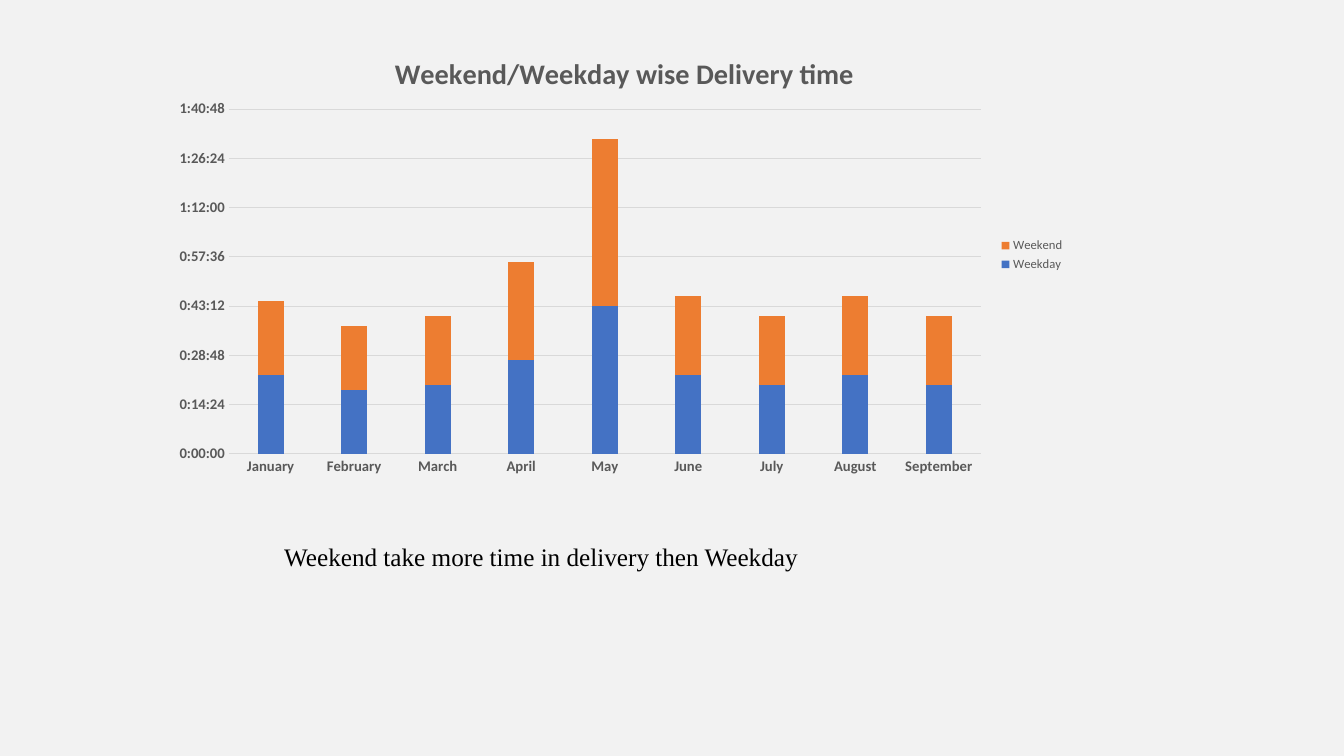
from dataclasses import dataclass

from lxml.etree import SubElement
from pptx import Presentation
from pptx.chart.data import CategoryChartData
from pptx.dml.color import RGBColor
from pptx.enum.chart import XL_CHART_TYPE as ChartType
from pptx.enum.chart import XL_LEGEND_POSITION as LegendPos
from pptx.enum.chart import XL_TICK_MARK as Tick
from pptx.enum.text import MSO_AUTO_SIZE as AutoSize
from pptx.oxml.ns import qn
from pptx.util import Inches, Pt


@dataclass(frozen=True)
class Theme:
    background: str = "F2F2F2"
    ink: str = "000000"
    muted: str = "595959"
    grid: str = "D9D9D9"
    chart_font: str = "Calibri"
    caption_font: str = "Times New Roman"
    title_size: float = 20.2
    caption_size: float = 18
    axis_size: float = 10.5
    chart_size: float = 10
    legend_size: float = 9
    rule_width: float = 0.75


@dataclass(frozen=True)
class DaySeries:
    name: str
    color: str
    values: tuple[float, ...]


THEME = Theme()
MONTHS = ("January", "February", "March", "April", "May",
          "June", "July", "August", "September")
# Delivery times as fractions of a day
SERIES = (
    DaySeries("Weekday", "4472C4",
              (0.016, 0.013, 0.014, 0.019, 0.03, 0.016, 0.014, 0.016, 0.014)),
    DaySeries("Weekend", "ED7D31",
              (0.015, 0.013, 0.014, 0.02, 0.034, 0.016, 0.014, 0.016, 0.014)),
)
TIME_FORMAT = "h:mm:ss;@"


def rgb(color: str) -> RGBColor:
    return RGBColor.from_string(color)


def style_font(font, size: float, color: str, name: str, bold: bool = False) -> None:
    font.size, font.name, font.bold = Pt(size), name, bold
    font.color.rgb = rgb(color)


def style_line(line) -> None:
    line.color.rgb = rgb(THEME.grid)
    line.width = Pt(THEME.rule_width)


def style_axis(axis) -> None:
    axis.major_tick_mark = axis.minor_tick_mark = Tick.NONE
    style_font(axis.tick_labels.font, THEME.axis_size, THEME.muted,
               THEME.chart_font, bold=True)


def place(layout, **settings) -> None:
    """Fill a c:layout element with a manual layout, in fractions of the chart."""
    manual = SubElement(layout, qn("c:manualLayout"))
    for tag, value in settings.items():
        SubElement(manual, qn(f"c:{tag}")).set("val", str(value))


def add_layout(parent, index: int):
    """Return the layout of a chart part, inserted at index if missing."""
    layout = parent.find(qn("c:layout"))
    if layout is None:
        layout = SubElement(parent, qn("c:layout"))
        parent.insert(index, layout)
    return layout


def add_delivery_chart(s) -> None:
    data = CategoryChartData(number_format=TIME_FORMAT)
    data.categories = MONTHS
    for series in SERIES:
        data.add_series(series.name, series.values)
    chart = s.shapes.add_chart(ChartType.COLUMN_STACKED, Inches(1.6), Inches(0.25),
                               Inches(9.06), Inches(4.56), data).chart
    style_font(chart.font, THEME.chart_size, THEME.ink, THEME.chart_font)

    chart.has_title = True
    title = chart.chart_title
    title.include_in_layout = False
    p = title.text_frame.paragraphs[0]
    p.text = "Weekend/Weekday wise Delivery time"
    style_font(p.font, THEME.title_size, THEME.muted, THEME.chart_font, bold=True)
    place(add_layout(title._element, 1), xMode="edge", yMode="edge", x=0.25, y=0.05)

    plot = chart.plots[0]
    plot.gap_width, plot.overlap, plot.vary_by_categories = 219, 100, False
    for drawn, series in zip(plot.series, SERIES):
        drawn.format.fill.solid()
        drawn.format.fill.fore_color.rgb = rgb(series.color)
    plot_area = chart._chartSpace.chart.plotArea
    place(add_layout(plot_area, 0), layoutTarget="inner", xMode="edge", yMode="edge",
          x=0.074, y=0.183, w=0.823, h=0.75)

    months, times = chart.category_axis, chart.value_axis
    style_axis(months)
    style_line(months.format.line)
    style_axis(times)
    times.minimum_scale, times.maximum_scale, times.major_unit = 0, 0.07, 0.01
    times.format.line.fill.background()
    style_line(times.major_gridlines.format.line)
    times.tick_labels.number_format = TIME_FORMAT
    times.tick_labels.number_format_is_linked = False

    chart.has_legend = True
    chart.legend.position = LegendPos.RIGHT
    chart.legend.include_in_layout = False
    style_font(chart.legend.font, THEME.legend_size, THEME.muted, THEME.chart_font)


def add_caption(s) -> None:
    tf = s.shapes.add_textbox(Inches(2.72), Inches(5.32),
                              Inches(8.65), Inches(0.4)).text_frame
    tf.word_wrap = True
    tf.auto_size = AutoSize.SHAPE_TO_FIT_TEXT
    p = tf.paragraphs[0]
    p.text = "Weekend take more time in delivery then Weekday"
    style_font(p.font, THEME.caption_size, THEME.ink, THEME.caption_font)


def main() -> None:
    prs = Presentation()
    prs.slide_width, prs.slide_height = Inches(13.33), Inches(7.5)
    s = prs.slides.add_slide(prs.slide_layouts[6])
    s.background.fill.solid()
    s.background.fill.fore_color.rgb = rgb(THEME.background)
    add_delivery_chart(s)
    add_caption(s)
    prs.save("out.pptx")


if __name__ == "__main__":
    main()
